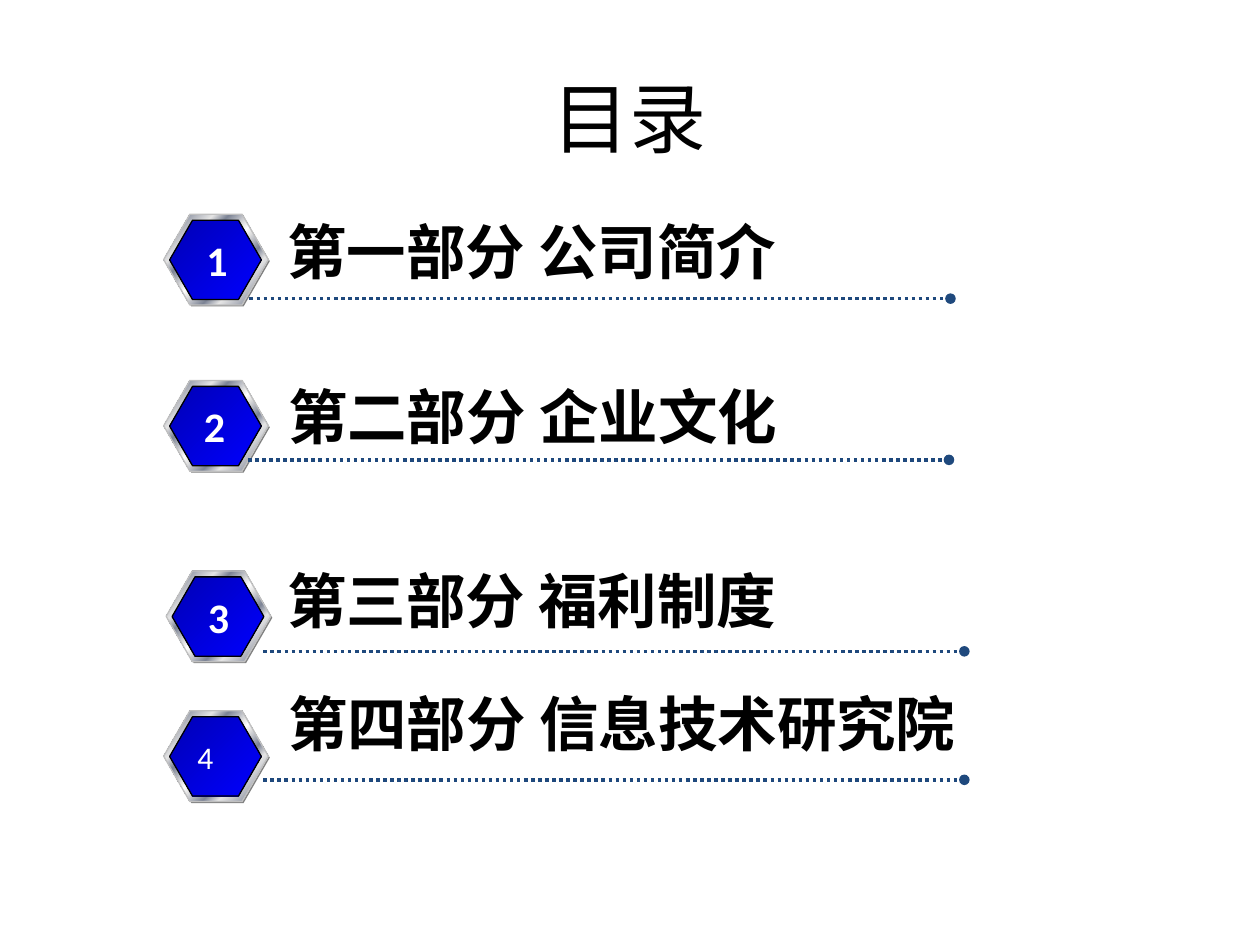
"""Build the contents slide with four numbered parts."""
from dataclasses import dataclass

from lxml import etree
from pptx import Presentation
from pptx.dml.color import RGBColor
from pptx.enum import dml, shapes, text
from pptx.oxml.ns import qn
from pptx.util import Cm, Pt


@dataclass(frozen=True)
class Theme:
    """Colours, fonts and type sizes of the slide."""
    ink: str = "000000"
    white: str = "FFFFFF"
    rule: str = "1F497D"
    shade: str = "808080"
    edge: str = "C0C0C0"
    steel: tuple = ((0, "E6E6E6"), (8, "7D8496"), (26, "E6E6E6"),
                    (34, "7D8496"), (46, "E6E6E6"), (50, "FFFFFF"),
                    (54, "E6E6E6"), (66, "7D8496"), (74, "E6E6E6"),
                    (93, "7D8496"), (100, "E6E6E6"))
    blue: tuple = ((0, "0000B6"), (100, "0000FF"))
    latin: str = "Calibri"
    han: str = "Noto Sans CJK SC"
    head: int = 44
    item: int = 34
    digit: int = 24
    small: int = 18


@dataclass(frozen=True)
class Row:
    """Wording of one part and its offsets from the row corner in cm."""
    num: str
    label: str
    left: float
    top: float
    text: tuple
    rule: tuple
    digit: float = 0
    wide: float = 13.6


THEME = Theme()
ROWS = (
    Row("1", "第一部分 公司简介", 3.3, 4.32, (2.24, -0.1), (1.73, 1.7), 0.58),
    Row("2", "第二部分 企业文化", 3.3, 7.67, (2.26, -0.13), (1.7, 1.6), 0.53),
    Row("3", "第三部分 福利制度", 3.35, 11.51, (2.19, -0.26), (1.96, 1.62),
        0.56, 15.2),
    Row("4", "第四部分 信息技术研究院", 3.3, 14.33, (2.26, -0.61), (2.01, 1.39),
        wide=15.2),
)


def write(para, words, size, color, face, bold=False):
    """Add one formatted run to a paragraph."""
    run = para.add_run()
    run.text = words
    font = run.font
    font.size, font.bold, font.name = Pt(size), bold, face
    font.color.rgb = RGBColor.from_string(color)
    if face == THEME.han:
        etree.SubElement(run._r.get_or_add_rPr(), qn("a:ea"), typeface=face)


def blend(shape, stops):
    """Fill a shape with a diagonal gradient."""
    shape.fill.gradient()
    shape.fill.gradient_angle = 315
    ramp = shape._element.spPr.find(qn("a:gradFill")).find(qn("a:gsLst"))
    for stop in list(ramp):
        ramp.remove(stop)
    for pos, color in stops:
        stop = etree.SubElement(ramp, qn("a:gs"), pos=str(pos * 1000))
        etree.SubElement(stop, qn("a:srgbClr"), val=color)


def hexagon(group, left, top, wide, high, fill, edge=None):
    """Add one hexagon with a plain or gradient fill."""
    shape = group.shapes.add_shape(shapes.MSO_SHAPE.HEXAGON, Cm(left),
                                   Cm(top), Cm(wide), Cm(high))
    shape.adjustments[0] = 0.289
    shape.shadow.inherit = False
    if isinstance(fill, str):
        shape.fill.solid()
        shape.fill.fore_color.rgb = RGBColor.from_string(fill)
    else:
        blend(shape, fill)
    if edge:
        shape.line.color.rgb = RGBColor.from_string(edge)
        shape.line.width = Pt(0.75)
    else:
        shape.line.fill.background()
    return shape


def badge(slide, left, top):
    """Place a framed hexagon and return its face."""
    group = slide.shapes.add_group_shape()
    hexagon(group, left + 0.03, top + 0.03, 2.11, 1.83, THEME.shade)
    hexagon(group, left, top, 2.11, 1.83, THEME.steel, THEME.edge)
    return hexagon(group, left + 0.12, top + 0.12, 1.85, 1.6, THEME.blue,
                   THEME.ink)


def rule(slide, left, top):
    """Place a dotted line that ends in a dot."""
    line = slide.shapes.add_connector(shapes.MSO_CONNECTOR.STRAIGHT, Cm(left),
                                      Cm(top), Cm(left + 14.13), Cm(top))
    line.line.color.rgb = RGBColor.from_string(THEME.rule)
    line.line.width = Pt(2)
    line.line.dash_style = dml.MSO_LINE.ROUND_DOT
    etree.SubElement(line.line._get_or_add_ln(), qn("a:tailEnd"), type="oval")
    etree.SubElement(line._element.spPr, qn("a:effectLst"))


def label(slide, left, top, wide, high, wrap):
    """Place a growing text box and return its first paragraph."""
    frame = slide.shapes.add_textbox(Cm(left), Cm(top), Cm(wide),
                                     Cm(high)).text_frame
    frame.word_wrap = wrap
    frame.auto_size = text.MSO_AUTO_SIZE.SHAPE_TO_FIT_TEXT
    return frame.paragraphs[0]


def entry(slide, row):
    """Place the badge, number, rule and wording of one part."""
    left, top = row.left, row.top
    face = badge(slide, left, top)
    rule(slide, left + row.rule[0], top + row.rule[1])
    if row.digit:
        para = label(slide, left + row.digit, top + 0.28, 0.99, 1.27, False)
        para.alignment = text.PP_ALIGN.CENTER
        write(para, row.num, THEME.digit, THEME.white, THEME.latin, True)
    else:
        frame = face.text_frame
        frame.word_wrap = False
        frame.vertical_anchor = text.MSO_ANCHOR.MIDDLE
        para = frame.paragraphs[0]
        para.alignment = text.PP_ALIGN.LEFT
        write(para, row.num, THEME.small, THEME.white, THEME.latin)
    para = label(slide, left + row.text[0], top + row.text[1], row.wide, 1.7,
                 True)
    write(para, row.label, THEME.item, THEME.ink, THEME.han, True)


def heading(slide, left, top, wide, high):
    """Place the slide title."""
    title = slide.shapes.title
    title.left, title.top = Cm(left), Cm(top)
    title.width, title.height = Cm(wide), Cm(high)
    frame = title.text_frame
    frame.vertical_anchor = text.MSO_ANCHOR.MIDDLE
    para = frame.paragraphs[0]
    para.alignment = text.PP_ALIGN.CENTER
    write(para, "目录", THEME.head, THEME.ink, THEME.latin)


def main():
    """Build and save the deck."""
    deck = Presentation()
    deck.slide_width, deck.slide_height = Cm(25.4), Cm(19.05)
    slide = deck.slides.add_slide(deck.slide_layouts[5])
    heading(slide, 1.27, 0.76, 22.86, 3.18)
    for row in ROWS:
        entry(slide, row)
    deck.save("out.pptx")


if __name__ == "__main__":
    main()
